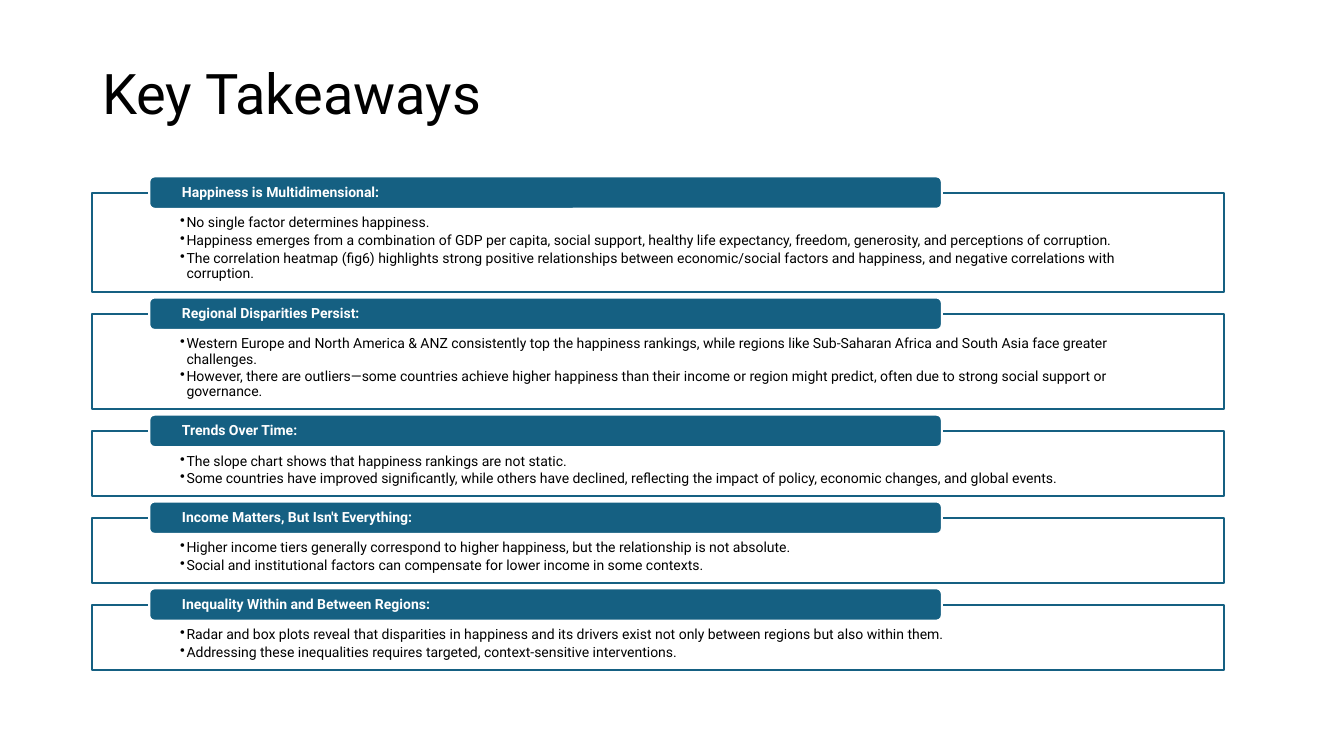
"""Build the Key Takeaways slide: five framed sections with heading bars."""
from lxml import etree
from pptx import Presentation
from pptx.dml.color import RGBColor
from pptx.enum.shapes import MSO_SHAPE
from pptx.enum.text import MSO_ANCHOR, PP_ALIGN
from pptx.oxml.ns import qn
from pptx.util import Pt

RECTANGLE, ROUNDED = MSO_SHAPE.RECTANGLE, MSO_SHAPE.ROUNDED_RECTANGLE
TOP, MIDDLE = MSO_ANCHOR.TOP, MSO_ANCHOR.MIDDLE
LEFT = PP_ALIGN.LEFT

TITLE = "Key Takeaways"
SECTIONS = [
    ("Happiness is Multidimensional:", 70.9, [
        "No single factor determines happiness.",
        "Happiness emerges from a combination of GDP per capita, social support, healthy life "
        "expectancy, freedom, generosity, and perceptions of corruption.",
        "The correlation heatmap (fig6) highlights strong positive relationships between "
        "economic/social factors and happiness, and negative correlations with corruption.",
    ]),
    ("Regional Disparities Persist:", 68.1, [
        "Western Europe and North America & ANZ consistently top the happiness rankings, while "
        "regions like Sub-Saharan Africa and South Asia face greater challenges.",
        "However, there are outliers—some countries achieve higher happiness than their income "
        "or region might predict, often due to strong social support or governance.",
    ]),
    ("Trends Over Time:", 46.4, [
        "The slope chart shows that happiness rankings are not static.",
        "Some countries have improved significantly, while others have declined, reflecting "
        "the impact of policy, economic changes, and global events.",
    ]),
    ("Income Matters, But Isn't Everything:", 46.4, [
        "Higher income tiers generally correspond to higher happiness, but the relationship "
        "is not absolute.",
        "Social and institutional factors can compensate for lower income in some contexts.",
    ]),
    ("Inequality Within and Between Regions:", 46.4, [
        "Radar and box plots reveal that disparities in happiness and its drivers exist not "
        "only between regions but also within them.",
        "Addressing these inequalities requires targeted, context-sensitive interventions.",
    ]),
]

FONT = "Roboto"
BLUE, WHITE, BLACK = "156082", "FFFFFF", "000000"
MARGIN, CONTENT_WIDTH = 66, 808.6
FIRST_TOP, SECTION_GAP = 137.7, 15.6
BAR_LEFT, BAR_WIDTH, BAR_HEIGHT = 106.6, 566.2, 23.2
BAR_RISE = 11.7
BULLET_INDENT = 4.5


def color(hex_code):
    return RGBColor.from_string(hex_code)


def add_panel(slide, kind, bounds, fill, line):
    panel = slide.shapes.add_shape(kind, *(Pt(value) for value in bounds))
    panel.shadow.inherit = False
    panel.fill.solid()
    panel.fill.fore_color.rgb = color(fill)
    panel.line.color.rgb = color(line)
    panel.line.width = Pt(1.5)
    return panel.text_frame


def set_frame(frame, anchor, insets):
    frame.word_wrap = True
    frame.vertical_anchor = anchor
    (frame.margin_left, frame.margin_top,
     frame.margin_right, frame.margin_bottom) = (Pt(inset) for inset in insets)


def add_bullet(paragraph):
    properties = paragraph._p.get_or_add_pPr()
    properties.set("marL", str(Pt(BULLET_INDENT)))
    properties.set("indent", str(-Pt(BULLET_INDENT)))
    etree.SubElement(properties, qn("a:buChar")).set("char", "•")


def write(frame, lines, size, ink, bold=False, bulleted=False, space_after=0):
    for index, line in enumerate(lines):
        paragraph = frame.paragraphs[0] if index == 0 else frame.add_paragraph()
        paragraph.text = line
        if bulleted:
            add_bullet(paragraph)
        paragraph.alignment = LEFT
        paragraph.line_spacing = 0.9
        paragraph.space_after = Pt(space_after)
        paragraph.font.name = FONT
        paragraph.font.size = Pt(size)
        paragraph.font.bold = bold
        paragraph.font.color.rgb = color(ink)


def add_section(slide, top, heading, height, points):
    body = add_panel(slide, RECTANGLE, (MARGIN, top, CONTENT_WIDTH, height), WHITE, BLUE)
    set_frame(body, TOP, (62.8, 16.4, 62.8, 5.6))
    write(body, points, 10, BLACK, bulleted=True, space_after=1.8)

    bar = add_panel(slide, ROUNDED, (BAR_LEFT, top - BAR_RISE, BAR_WIDTH, BAR_HEIGHT),
                    BLUE, WHITE)
    set_frame(bar, MIDDLE, (22.3, 0, 22.3, 0))
    write(bar, [heading], 10, WHITE, bold=True)


def main():
    presentation = Presentation()
    presentation.slide_width, presentation.slide_height = Pt(960), Pt(540)
    slide = presentation.slides.add_slide(presentation.slide_layouts[6])

    title = slide.shapes.add_textbox(Pt(MARGIN), Pt(28.8), Pt(CONTENT_WIDTH), Pt(80.6))
    set_frame(title.text_frame, MIDDLE, (7.2, 3.6, 7.2, 3.6))
    write(title.text_frame, [TITLE], 40, BLACK)

    top = FIRST_TOP
    for heading, height, points in SECTIONS:
        add_section(slide, top, heading, height, points)
        top += height + SECTION_GAP

    presentation.save("out.pptx")


if __name__ == "__main__":
    main()
